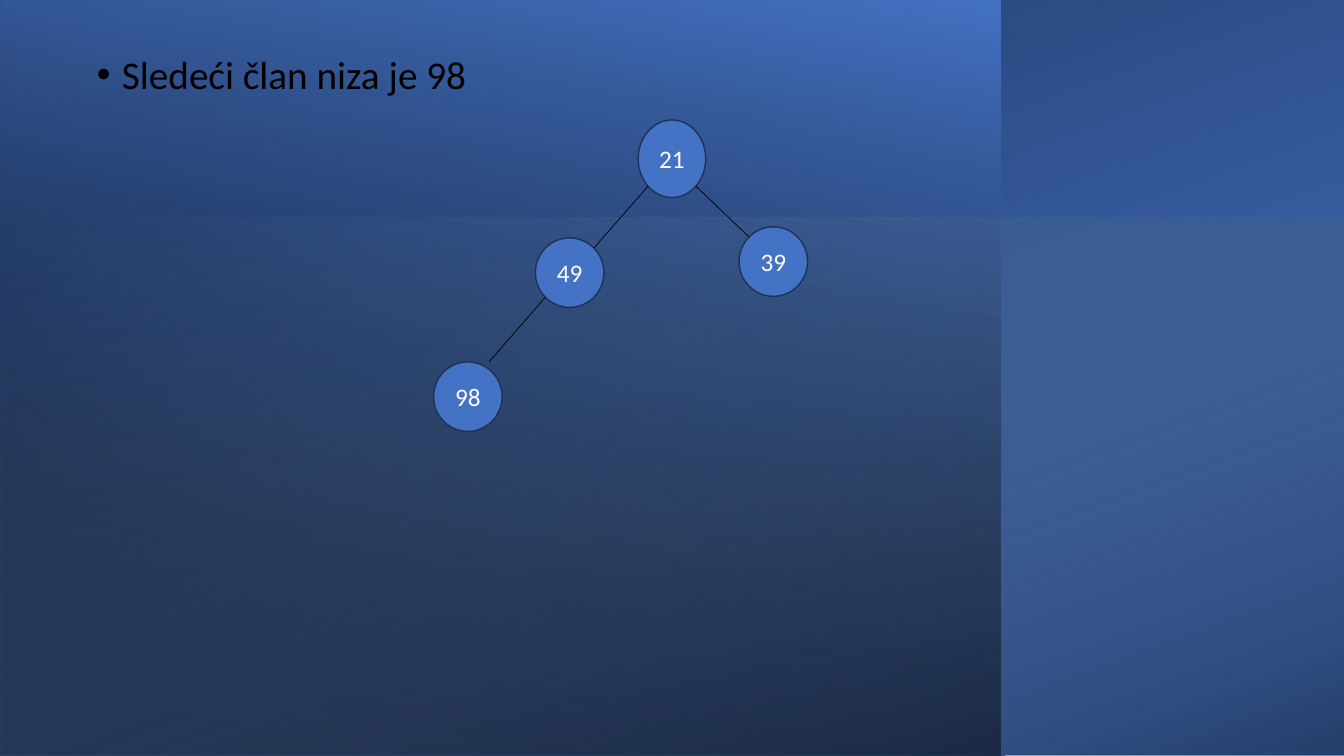
from dataclasses import dataclass

from lxml import etree
from pptx import Presentation
from pptx.dml.color import RGBColor
from pptx.enum.shapes import MSO_CONNECTOR, MSO_SHAPE
from pptx.enum.text import MSO_ANCHOR, PP_ALIGN
from pptx.oxml.ns import qn
from pptx.util import Inches, Pt

RECTANGLE, ELLIPSE = MSO_SHAPE.RECTANGLE, MSO_SHAPE.OVAL
STRAIGHT = MSO_CONNECTOR.STRAIGHT
CENTER, MIDDLE, TOP = PP_ALIGN.CENTER, MSO_ANCHOR.MIDDLE, MSO_ANCHOR.TOP
TITLE_AND_CONTENT = 1
DIAGONAL = 0.71


@dataclass(frozen=True)
class Theme:
    font: str = "Calibri"
    blue: str = "4472C4"
    navy: str = "203864"
    sky: str = "9DC3E6"
    outline: str = "1E3256"
    black: str = "000000"
    white: str = "FFFFFF"
    body_size: int = 28
    node_size: int = 18


THEME = Theme()

# box, rotation, gradient angle, stops of (position, colour, opacity)
PANELS = [
    ((2.92, -2.92, 7.5, 13.33), 270, 200,
     [(8, THEME.blue, 100), (100, THEME.navy, 100)]),
    ((0, 0, 9.92, 7.5), 180, 80,
     [(8, THEME.black, 52), (100, THEME.blue, 100)]),
    ((3.99, -1.84, 5.35, 13.34), 270, 20,
     [(0, THEME.sky, 0), (100, THEME.black, 46)]),
]
BODY_BOX = (0.86, 0.5, 11.61, 6.5)
TREE_BOX = (4.3, 1.19, 3.71, 3.09)

# boxes relative to the tree's corner
NODES = {
    "21": (2.03, 0, 0.67, 0.77),
    "39": (3.03, 1.06, 0.68, 0.69),
    "49": (1.01, 1.17, 0.68, 0.69),
    "98": (0, 2.4, 0.68, 0.69),
}
# parent, child, then joints as fractions of each node's half size
EDGES = [
    ("21", "39", (DIAGONAL, DIAGONAL), (-DIAGONAL, -DIAGONAL)),
    ("21", "49", (-DIAGONAL, DIAGONAL), (DIAGONAL, -DIAGONAL)),
    ("49", "98", (-DIAGONAL, DIAGONAL), (0.62, -1)),
]


def color(value):
    return RGBColor.from_string(value)


def add_text(para, text, size, text_color):
    span = para.add_run()
    span.text = text
    span.font.name = THEME.font
    span.font.size = Pt(size)
    span.font.color.rgb = color(text_color)


def add_panel(page, box, rotation, angle, stops):
    """Add a mirrored gradient rectangle; the angle runs clockwise."""
    panel = page.shapes.add_shape(RECTANGLE, *map(Inches, box))
    panel.shadow.inherit = False
    panel.rotation = rotation
    panel._element.spPr.find(qn("a:xfrm")).set("flipH", "1")
    panel.line.fill.background()
    panel.fill.gradient()
    panel.fill.gradient_angle = 360 - angle
    for stop, (position, value, opacity) in zip(panel.fill.gradient_stops, stops):
        stop.position = position / 100
        stop.color.rgb = color(value)
    tones = panel._element.spPr.iter(qn("a:srgbClr"))
    for tone, (position, value, opacity) in zip(tones, stops):
        if opacity < 100:
            etree.SubElement(tone, qn("a:alpha")).set("val", str(opacity * 1000))


def place_body(page, box, text):
    """Bring the body placeholder in front of the panels and fill it."""
    body = page.placeholders[1]
    page.shapes._spTree.append(body._element)
    body.left, body.top, body.width, body.height = map(Inches, box)
    body.text_frame.vertical_anchor = TOP
    para = body.text_frame.paragraphs[0]
    para.line_spacing = 0.9
    para.space_before = Pt(10)
    properties = para._p.get_or_add_pPr()
    properties.set("marL", str(Inches(0.25)))
    properties.set("indent", str(Inches(-0.25)))
    etree.SubElement(properties, qn("a:buFont")).set("typeface", "Arial")
    etree.SubElement(properties, qn("a:buChar")).set("char", "•")
    add_text(para, text, THEME.body_size, THEME.black)


def add_node(page, box, label):
    node = page.shapes.add_shape(ELLIPSE, *map(Inches, box))
    node.shadow.inherit = False
    node.fill.solid()
    node.fill.fore_color.rgb = color(THEME.blue)
    node.line.color.rgb = color(THEME.outline)
    node.line.width = Pt(1)
    node.text_frame.vertical_anchor = MIDDLE
    para = node.text_frame.paragraphs[0]
    para.alignment = CENTER
    para.space_after = Pt(6)
    add_text(para, label, THEME.node_size, THEME.white)


def joint_point(box, joint):
    left, top, width, height = box
    across, down = joint
    return (Inches(left + width / 2 * (1 + across)),
            Inches(top + height / 2 * (1 + down)))


def add_edge(page, start, end):
    edge = page.shapes.add_connector(STRAIGHT, *start, *end)
    edge.line.color.rgb = color(THEME.black)
    edge.line.width = Pt(0.5)
    etree.SubElement(edge._element.spPr, qn("a:effectLst"))


def add_tree(page, box):
    left, top = box[:2]
    boxes = {label: (left + x, top + y, width, height)
             for label, (x, y, width, height) in NODES.items()}
    for label, node_box in boxes.items():
        add_node(page, node_box, label)
    for parent, child, parent_joint, child_joint in EDGES:
        add_edge(page, joint_point(boxes[parent], parent_joint),
                 joint_point(boxes[child], child_joint))


def main():
    deck = Presentation()
    deck.slide_width, deck.slide_height = Inches(13.33), Inches(7.5)
    page = deck.slides.add_slide(deck.slide_layouts[TITLE_AND_CONTENT])
    title = page.shapes.title._element
    title.getparent().remove(title)
    for panel in PANELS:
        add_panel(page, *panel)
    place_body(page, BODY_BOX, "Sledeći član niza je 98")
    add_tree(page, TREE_BOX)
    deck.save("out.pptx")


if __name__ == "__main__":
    main()
